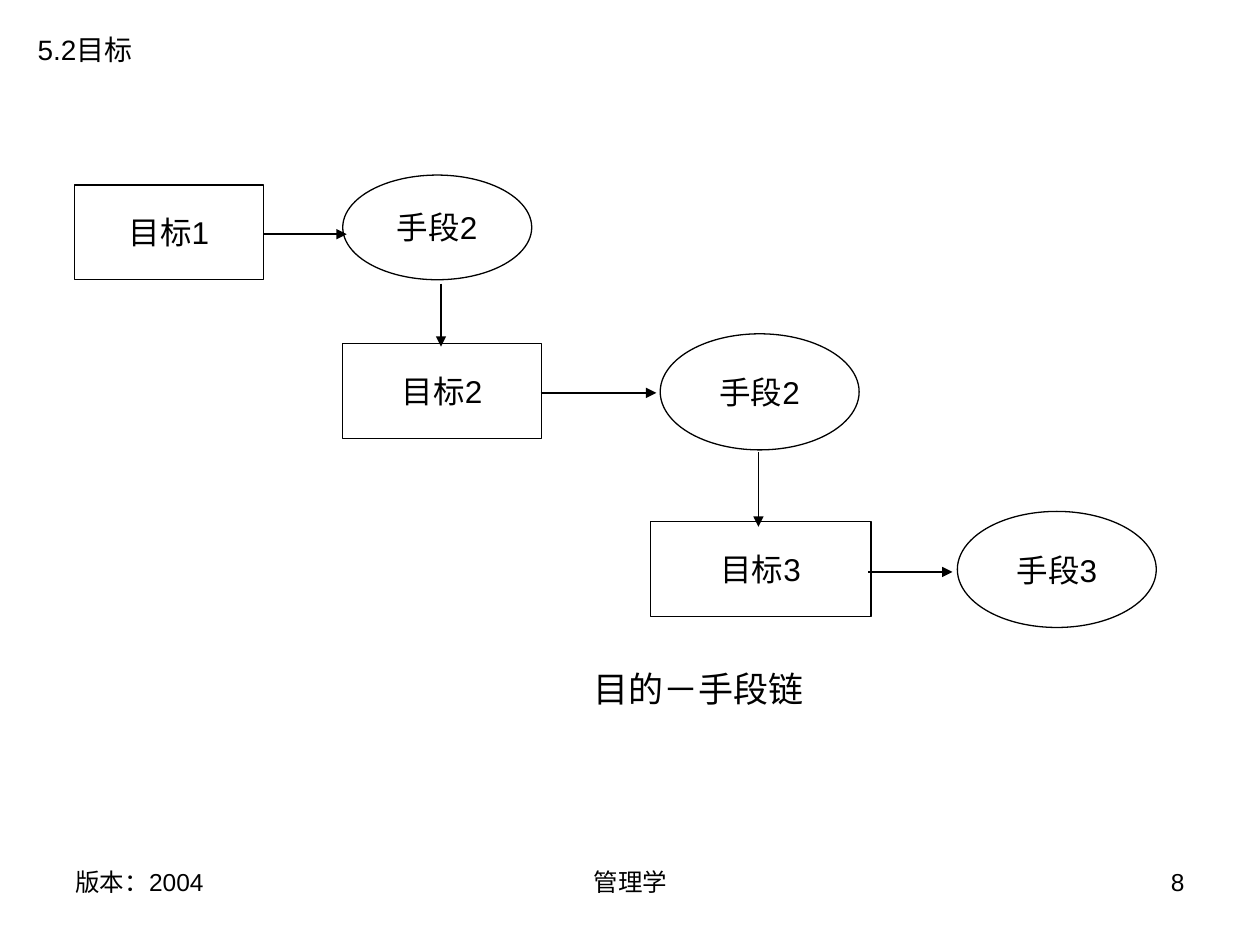
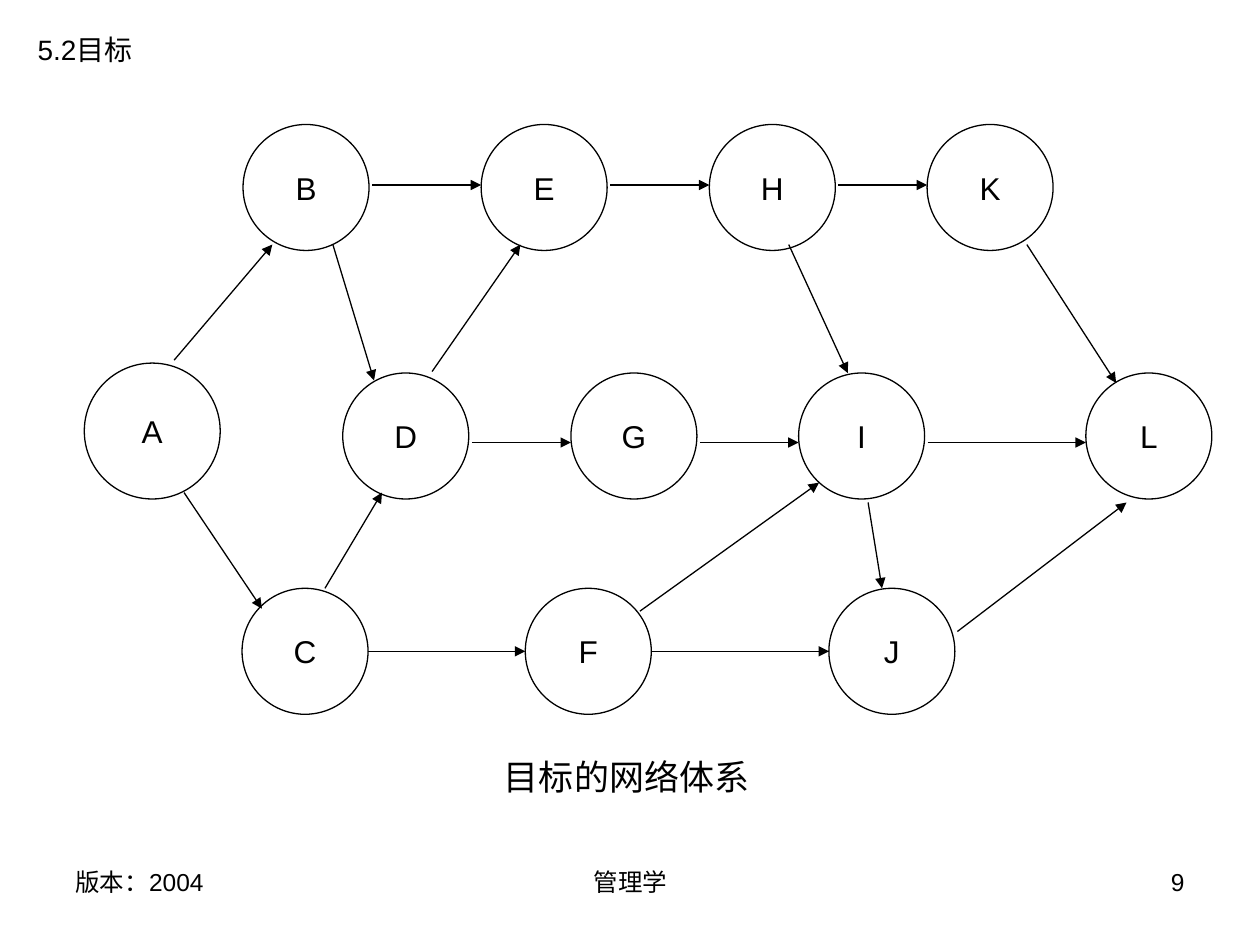
from dataclasses import dataclass
from itertools import pairwise

from lxml.etree import SubElement
from pptx import Presentation
from pptx.dml.color import RGBColor
from pptx.enum.shapes import MSO_CONNECTOR as Link, MSO_SHAPE as Form
from pptx.enum.text import MSO_ANCHOR as Anchor, PP_ALIGN as Align
from pptx.oxml.ns import qn
from pptx.util import Cm, Pt


# Colours, font and type sizes
@dataclass(frozen=True)
class Theme:
    ink: RGBColor = RGBColor(0, 0, 0)
    paper: RGBColor = RGBColor(255, 255, 255)
    font: str = "Arial"
    foot: int = 14
    title: int = 16
    node: int = 18
    label: int = 20
    line: float = 0.75


class Deck:
    def __init__(self, theme):
        self.theme = theme
        self.file = Presentation()
        self.file.slide_width, self.file.slide_height = Cm(25.4), Cm(19.05)
        self.slide = None

    def page(self, number):
        """Start a slide with its title and footer."""
        self.slide = self.file.slides.add_slide(self.file.slide_layouts[6])
        size = self.theme.foot
        self.text("版本：2004", (1.27, 17.35, 5.92, 1.32), size, wrap=True)
        self.text("管理学", (8.69, 17.35, 8.05, 1.32), size, Align.CENTER, True)
        self.text(str(number), (18.21, 17.35, 5.92, 1.32), size, Align.RIGHT, True)
        self.text("5.2目标", (0.51, 0.53, 2.59, 0.94), self.theme.title)

    def letter(self, shape, words, size, align, wrap):
        frame = shape.text_frame
        frame.text = words
        frame.word_wrap = wrap
        para = frame.paragraphs[0]
        para.alignment = align
        for run in para.runs:
            run.font.name = self.theme.font
            run.font.size = Pt(size)
            run.font.color.rgb = self.theme.ink

    def text(self, words, area, size, align=Align.LEFT, wrap=False):
        box = self.slide.shapes.add_textbox(*map(Cm, area))
        self.letter(box, words, size, align, wrap)

    def label(self, words, area):
        self.text(words, area, self.theme.label)

    def node(self, words, area, form=Form.OVAL):
        shape = self.slide.shapes.add_shape(form, *map(Cm, area))
        shape.shadow.inherit = False
        shape.fill.solid()
        shape.fill.fore_color.rgb = self.theme.paper
        self.stroke(shape.line)
        self.letter(shape, words, self.theme.node, Align.CENTER, False)
        shape.text_frame.vertical_anchor = Anchor.MIDDLE

    def stroke(self, line):
        line.color.rgb = self.theme.ink
        line.width = Pt(self.theme.line)

    def arrow(self, *ends):
        link = self.slide.shapes.add_connector(Link.STRAIGHT, *map(Cm, ends))
        self.stroke(link.line)
        props = link.element.spPr
        SubElement(props.find(qn("a:ln")), qn("a:tailEnd"), type="triangle")
        SubElement(props, qn("a:effectLst"))


# Chain of goals and means
def chain(deck):
    deck.page(8)
    goals = [
        ("目标1", (1.5, 3.73, 3.81, 1.91)),
        ("目标2", (6.91, 6.93, 4.01, 1.91)),
        ("目标3", (13.11, 10.52, 4.45, 1.91)),
    ]
    means = [
        ("手段2", (6.91, 3.53, 3.81, 2.11)),
        ("手段2", (13.31, 6.73, 4.01, 2.34)),
        ("手段3", (19.3, 10.31, 4.01, 2.34)),
    ]
    for goal, mean in zip(goals, means):
        deck.node(*goal, Form.RECTANGLE)
        deck.node(*mean)
    # Across from goal to mean, then down to the next goal
    for left, y, right in [(5.31, 4.72, 6.99), (10.9, 7.92, 13.23), (17.5, 11.53, 19.2)]:
        deck.arrow(left, y, right, y)
    for x, top, end in [(8.89, 5.72, 6.99), (15.29, 9.12, 10.62)]:
        deck.arrow(x, top, x, end)
    deck.label("目的－手段链", (11.71, 13.34, 4.8, 1.09))


# Network of goals
def network(deck):
    deck.page(9)
    deck.node("A", (1.7, 7.32, 2.74, 2.74))
    size = 2.54
    # Each row: top, arrow height, gap after a node, left edge of each node
    rows = [
        (2.51, 3.73, 0.06, {"B": 4.9, "E": 9.7, "H": 14.3, "K": 18.69}),
        (7.52, 8.92, 0.06, {"D": 6.91, "G": 11.51, "I": 16.1, "L": 21.89}),
        (11.86, 13.13, 0, {"C": 4.88, "F": 10.59, "J": 16.71}),
    ]
    for top, y, gap, nodes in rows:
        for name, left in nodes.items():
            deck.node(name, (left, top, size, size))
        for left, right in pairwise(nodes.values()):
            deck.arrow(left + size + gap, y, right, y)
    # Arrows between rows
    slants = [
        (3.51, 7.26, 5.49, 4.93),     # A to B
        (3.71, 9.93, 5.28, 12.27),    # A to C
        (6.71, 4.93, 7.54, 7.67),     # B to D
        (6.55, 11.86, 7.7, 9.93),     # C to D
        (8.71, 7.49, 10.49, 4.93),    # D to E
        (12.9, 12.32, 16.51, 9.73),   # F to I
        (15.9, 4.93, 17.09, 7.52),    # H to I
        (17.5, 10.13, 17.78, 11.86),  # I to J
        (19.3, 12.73, 22.71, 10.13),  # J to L
        (20.7, 4.93, 22.5, 7.72),     # K to L
    ]
    for ends in slants:
        deck.arrow(*ends)
    deck.label("目标的网络体系", (9.91, 15.11, 5.79, 1.09))


def main():
    deck = Deck(Theme())
    chain(deck)
    network(deck)
    deck.file.save("out.pptx")


if __name__ == "__main__":
    main()
